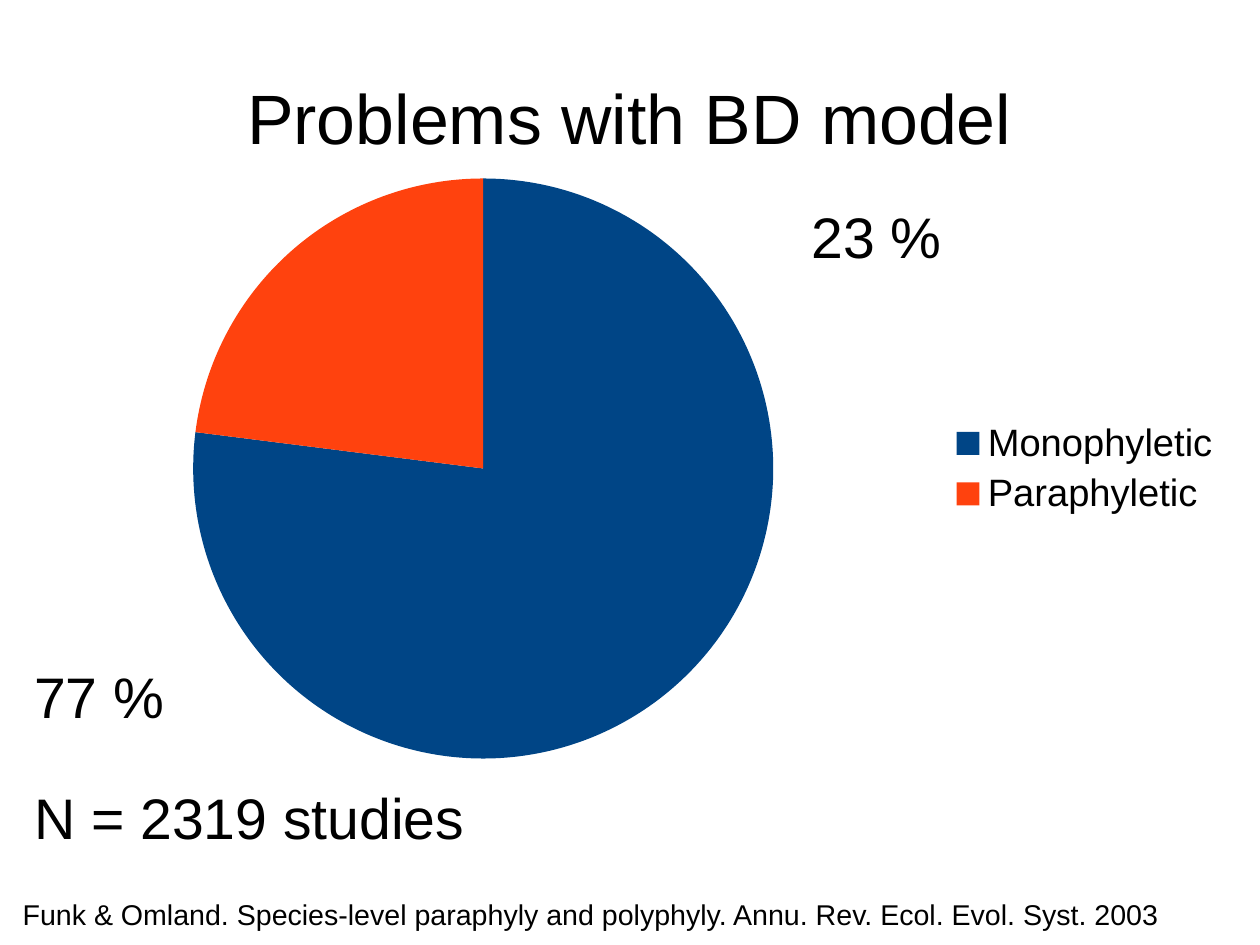
from lxml import etree
from pptx import Presentation
from pptx.chart.data import CategoryChartData
from pptx.dml.color import RGBColor
from pptx.enum.chart import XL_CHART_TYPE, XL_LEGEND_POSITION
from pptx.enum.text import MSO_ANCHOR, PP_ALIGN
from pptx.oxml import parse_xml
from pptx.oxml.ns import nsdecls, qn
from pptx.util import Pt

PIE = XL_CHART_TYPE.PIE
RIGHT = XL_LEGEND_POSITION.RIGHT
TOP, MIDDLE = MSO_ANCHOR.TOP, MSO_ANCHOR.MIDDLE
LEFT, CENTER = PP_ALIGN.LEFT, PP_ALIGN.CENTER

FONT = "Arial"
COLORS = {"text": "000000", "Monophyletic": "004586", "Paraphyletic": "FF420E"}
SHARES = {"Monophyletic": 77, "Paraphyletic": 23}
PLOT_AREA = {"x": 0.13, "y": 0.03, "w": 0.5, "h": 0.94}


def rgb(name):
    return RGBColor.from_string(COLORS[name])


def style_font(font, size):
    font.name = FONT
    font.size = Pt(size)
    font.color.rgb = rgb("text")


def add_text(slide, text, box, size, align=LEFT, anchor=TOP):
    sp = slide.shapes.add_textbox(*map(Pt, box))
    tf = sp.text_frame
    tf.word_wrap = True
    tf.vertical_anchor = anchor
    p = tf.paragraphs[0]
    p.text = text
    p.alignment = align
    style_font(p.font, size)


def place_plot(chart):
    plot_area = chart._chartSpace.chart.plotArea
    for old in plot_area.findall(qn("c:layout")):
        plot_area.remove(old)
    layout = parse_xml(f"<c:layout {nsdecls('c')}><c:manualLayout/></c:layout>")
    settings = {"layoutTarget": "inner", "xMode": "edge", "yMode": "edge", **PLOT_AREA}
    for tag, value in settings.items():
        etree.SubElement(layout[0], qn(f"c:{tag}")).set("val", str(value))
    plot_area.insert(0, layout)


def add_pie(slide, box):
    data = CategoryChartData()
    data.categories = list(SHARES)
    data.add_series("Series 1", list(SHARES.values()))
    chart = slide.shapes.add_chart(PIE, *map(Pt, box), data).chart
    style_font(chart.font, 10)
    chart.has_title = False
    chart.has_legend = True
    chart.legend.position = RIGHT
    chart.legend.include_in_layout = False
    style_font(chart.legend.font, 24)
    plot = chart.plots[0]
    plot.vary_by_categories = True
    for i, name in enumerate(SHARES):
        fmt = plot.series[0].points[i].format
        fmt.fill.solid()
        fmt.fill.fore_color.rgb = rgb(name)
        fmt.line.fill.background()
    place_plot(chart)


def main():
    prs = Presentation()
    prs.slide_width, prs.slide_height = Pt(793.7), Pt(595.28)
    slide = prs.slides.add_slide(prs.slide_layouts[6])

    add_text(slide, "Problems with BD model", (39.6, 23.76, 714.24, 99.36), 44, CENTER, MIDDLE)
    add_pie(slide, (14.4, 100.8, 763.2, 388.8))
    add_text(slide, "Funk & Omland. Species-level paraphyly and polyphyly. "
             "Annu. Rev. Ecol. Evol. Syst. 2003", (7.2, 561.6, 777.6, 27.36), 18)
    add_text(slide, "23 %", (504, 123.12, 108, 47.52), 36)
    add_text(slide, "77 %", (14.4, 413.28, 108, 47.52), 36)
    add_text(slide, "N = 2319 studies", (14.4, 489.6, 318.24, 57.6), 36)

    prs.save("out.pptx")


if __name__ == "__main__":
    main()
